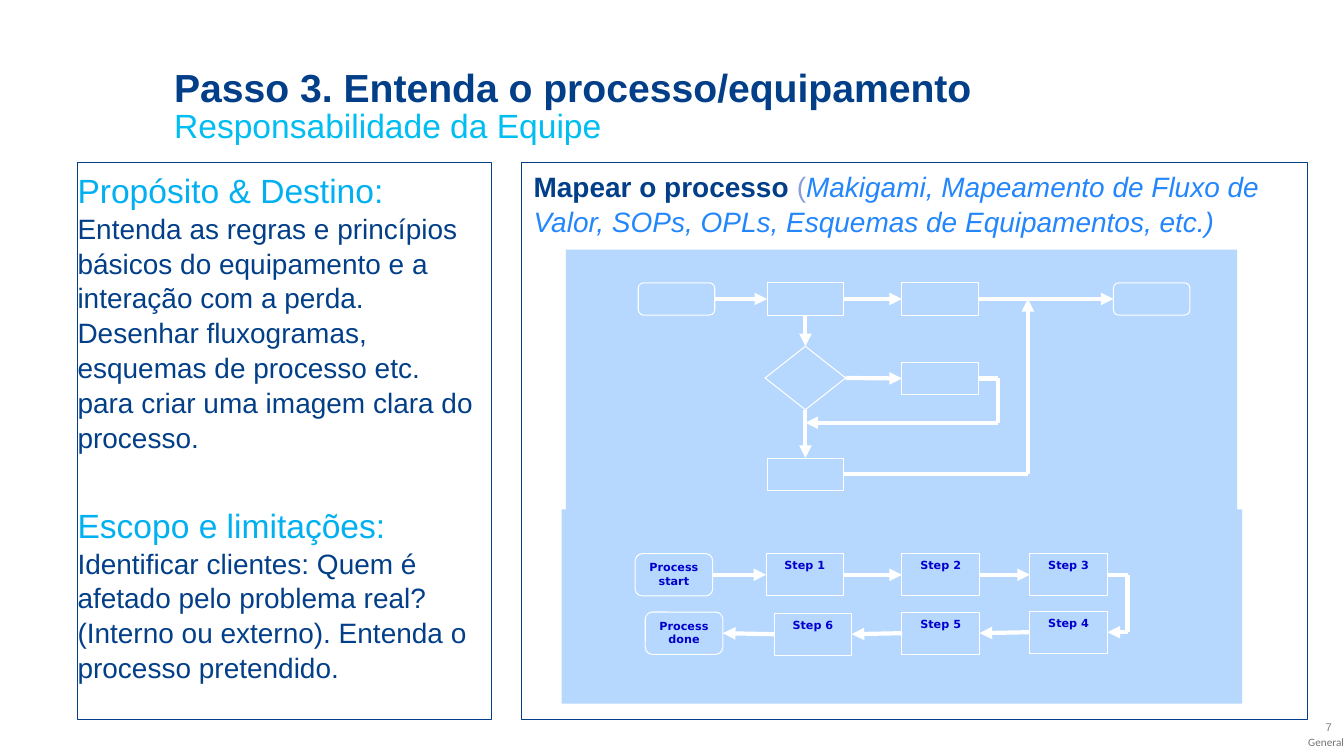
from lxml import etree
from pptx import Presentation
from pptx.dml.color import RGBColor
from pptx.enum import shapes, text
from pptx.oxml import ns
from pptx.util import Inches, Pt

NAVY = RGBColor(0x02, 0x3F, 0x88)
CYAN = RGBColor(0x00, 0xBD, 0xF2)
SKY = RGBColor(0x00, 0xB0, 0xF0)
BLUE = RGBColor(0x23, 0x86, 0xFC)
LILAC = RGBColor(0x8B, 0x9F, 0xDA)
PALE = RGBColor(0xB6, 0xD7, 0xFE)
LABEL = RGBColor(0x00, 0x00, 0xCC)
WHITE = RGBColor(0xFF, 0xFF, 0xFF)
GREY = RGBColor(0x80, 0x80, 0x80)
DARK_GREY = RGBColor(0x73, 0x73, 0x73)

RECT = shapes.MSO_SHAPE.RECTANGLE
PROCESS = shapes.MSO_SHAPE.FLOWCHART_PROCESS
TERMINAL = shapes.MSO_SHAPE.FLOWCHART_ALTERNATE_PROCESS
DECISION = shapes.MSO_SHAPE.FLOWCHART_DECISION
TOP, LEFT, BOTTOM, RIGHT = range(4)

presentation = Presentation()
presentation.slide_width = Inches(13.35)
presentation.slide_height = Inches(7.5)
slide = presentation.slides.add_slide(presentation.slide_layouts[6])


def add_box(kind, left, top, width, height, fill=None, line=None):
    shape = slide.shapes.add_shape(
        kind, Inches(left), Inches(top), Inches(width), Inches(height))
    shape.shadow.inherit = False
    if fill is None:
        shape.fill.background()
    else:
        shape.fill.solid()
        shape.fill.fore_color.rgb = fill
    if line is None:
        shape.line.fill.background()
    else:
        shape.line.color.rgb = line
        shape.line.width = Pt(0.75)
    return shape


def add_link(start, end, arrow=True):
    """Each end is either (shape, side) or a point (x, y) in inches."""
    start_joined = not isinstance(start[0], (int, float))
    end_joined = not isinstance(end[0], (int, float))
    x1, y1 = (0, 0) if start_joined else start
    x2, y2 = (0, 0) if end_joined else end
    connector = slide.shapes.add_connector(
        shapes.MSO_CONNECTOR.STRAIGHT, Inches(x1), Inches(y1), Inches(x2), Inches(y2))
    if start_joined:
        connector.begin_connect(*start)
    if end_joined:
        connector.end_connect(*end)
    connector.line.color.rgb = WHITE
    connector.line.width = Pt(3)
    if arrow:
        etree.SubElement(connector.line._get_or_add_ln(), ns.qn("a:tailEnd"), type="triangle")
    etree.SubElement(connector._element.spPr, ns.qn("a:effectLst"))


# Title, subtitle, page number and classification
# (words, position, insets, font, size, colour, bold, line spacing, alignment, anchor)
START, END = text.PP_ALIGN.LEFT, text.PP_ALIGN.RIGHT
UPPER, MIDDLE = text.MSO_ANCHOR.TOP, text.MSO_ANCHOR.MIDDLE
captions = [
    ("Passo 3. Entenda o processo/equipamento", (1.73, 0.53, 10.87, 0.47),
     (0, 0.17, 0.12, 0), "Arial", 28, NAVY, True, 0.85, START, UPPER),
    ("Responsabilidade da Equipe", (1.73, 0.98, 10.87, 0.47),
     (0, 0.06, 0.12, 0.06), "Arial", 24, CYAN, False, Pt(29), START, UPPER),
    ("7", (12.91, 7.14, 0.39, 0.16),
     (0.05, 0.05, 0.07, 0.05), "Arial", 8, GREY, False, 1.0, END, MIDDLE),
    ("General", (12.73, 7.25, 0.62, 0.25),
     (0, 0, 0, 0), "Calibri", 8, DARK_GREY, False, 1.0, END, MIDDLE),
]
for words, position, insets, font, size, color, bold, spacing, align, anchor in captions:
    frame = slide.shapes.add_textbox(*map(Inches, position)).text_frame
    frame.word_wrap = True
    frame.vertical_anchor = anchor
    (frame.margin_left, frame.margin_top,
     frame.margin_right, frame.margin_bottom) = map(Inches, insets)
    frame.text = words
    paragraph = frame.paragraphs[0]
    paragraph.alignment = align
    paragraph.line_spacing = spacing
    paragraph.font.name = font
    paragraph.font.size = Pt(size)
    paragraph.font.bold = bold
    paragraph.font.color.rgb = color

# Text panels: each paragraph is (space before, runs of words, size, colour, bold, italic)
panels = [
    (0.77, 4.11, 0, [
        (0, [("Propósito & Destino:", 24, SKY, False, False)]),
        (0, [("Entenda as regras e princípios básicos do equipamento e a interação "
              "com a perda. Desenhar fluxogramas, esquemas de processo etc. para "
              "criar uma imagem clara do processo.", 20, NAVY, False, False)]),
        (35, [("Escopo e limitações:", 24, SKY, False, False)]),
        (0, [("Identificar clientes: Quem é afetado pelo problema real? (Interno ou "
              "externo). Entenda o processo pretendido.", 20, NAVY, False, False)]),
    ]),
    (5.18, 7.81, 0.12, [
        (0, [("Mapear o processo ", 20, NAVY, True, False),
             ("(", 20, LILAC, False, False),
             ("Makigami, Mapeamento de Fluxo de Valor, SOPs, OPLs, Esquemas de "
              "Equipamentos, etc.)", 20, BLUE, False, True)]),
    ]),
]
for left, width, inset, paragraphs in panels:
    frame = add_box(RECT, left, 1.61, width, 5.54, line=NAVY).text_frame
    frame.word_wrap = True
    frame.vertical_anchor = UPPER
    frame.margin_left, frame.margin_right = Inches(inset), Inches(0.12)
    frame.margin_top = frame.margin_bottom = Inches(0.06)
    for index, (space, runs) in enumerate(paragraphs):
        paragraph = frame.add_paragraph() if index else frame.paragraphs[0]
        paragraph.alignment = START
        paragraph.line_spacing = 1.04
        paragraph.space_before = Pt(space)
        for words, size, color, bold, italic in runs:
            run = paragraph.add_run()
            run.text = words
            run.font.name = "Arial"
            run.font.size = Pt(size)
            run.font.color.rgb = color
            run.font.bold = bold
            run.font.italic = italic

# Upper flowchart with a decision and a detour
add_box(RECT, 5.62, 2.48, 6.67, 2.74, PALE)
flow = {}
for name, kind, left, top in [
        ("start", TERMINAL, 6.34, 2.81), ("first", PROCESS, 7.62, 2.81),
        ("second", PROCESS, 8.96, 2.81), ("finish", TERMINAL, 11.06, 2.81),
        ("detour", PROCESS, 8.96, 3.6), ("last", PROCESS, 7.62, 4.55)]:
    flow[name] = add_box(kind, left, top, 0.76, 0.32, PALE, WHITE)
flow["decision"] = add_box(DECISION, 7.6, 3.44, 0.8, 0.63, PALE, WHITE)

for source, side, target, target_side in [
        ("start", RIGHT, "first", LEFT), ("first", RIGHT, "second", LEFT),
        ("second", RIGHT, "finish", LEFT), ("first", BOTTOM, "decision", TOP),
        ("decision", RIGHT, "detour", LEFT), ("decision", BOTTOM, "last", TOP)]:
    add_link((flow[source], side), (flow[target], target_side))
add_link((flow["detour"], RIGHT), (9.91, 3.76), arrow=False)
add_link((9.91, 3.76), (9.91, 4.2), arrow=False)
add_link((9.91, 4.2), (8, 4.2))
add_link((flow["last"], RIGHT), (10.21, 4.71), arrow=False)
add_link((10.21, 4.71), (10.21, 2.97))

# Lower flowchart: six steps that turn back after the third
add_box(RECT, 5.58, 5.06, 6.76, 1.93, PALE)
steps = []
for label, kind, left, top in [
        ("Process\nstart", TERMINAL, 6.31, 5.5), ("Step 1", PROCESS, 7.61, 5.5),
        ("Step 2", PROCESS, 8.96, 5.5), ("Step 3", PROCESS, 10.23, 5.5),
        ("Step 4", PROCESS, 10.23, 6.07), ("Step 5", PROCESS, 8.96, 6.08),
        ("Step 6", PROCESS, 7.69, 6.09), ("Process\ndone", TERMINAL, 6.41, 6.08)]:
    step = add_box(kind, left, top, 0.77, 0.42, PALE, WHITE)
    step.text_frame.vertical_anchor = UPPER
    step.text_frame.margin_left = step.text_frame.margin_right = 0
    step.text_frame.text = label
    for paragraph in step.text_frame.paragraphs:
        paragraph.alignment = text.PP_ALIGN.CENTER
        paragraph.font.name = "DejaVu Sans"
        paragraph.font.size = Pt(8)
        paragraph.font.bold = True
        paragraph.font.color.rgb = LABEL
    steps.append(step)

for row, side, target_side in [(steps[:4], RIGHT, LEFT), (steps[4:], LEFT, RIGHT)]:
    for source, target in zip(row, row[1:]):
        add_link((source, side), (target, target_side))
add_link((steps[3], RIGHT), (11.2, 5.71), arrow=False)
add_link((11.2, 5.71), (11.2, 6.28), arrow=False)
add_link((11.2, 6.28), (steps[4], RIGHT))

presentation.save("out.pptx")
